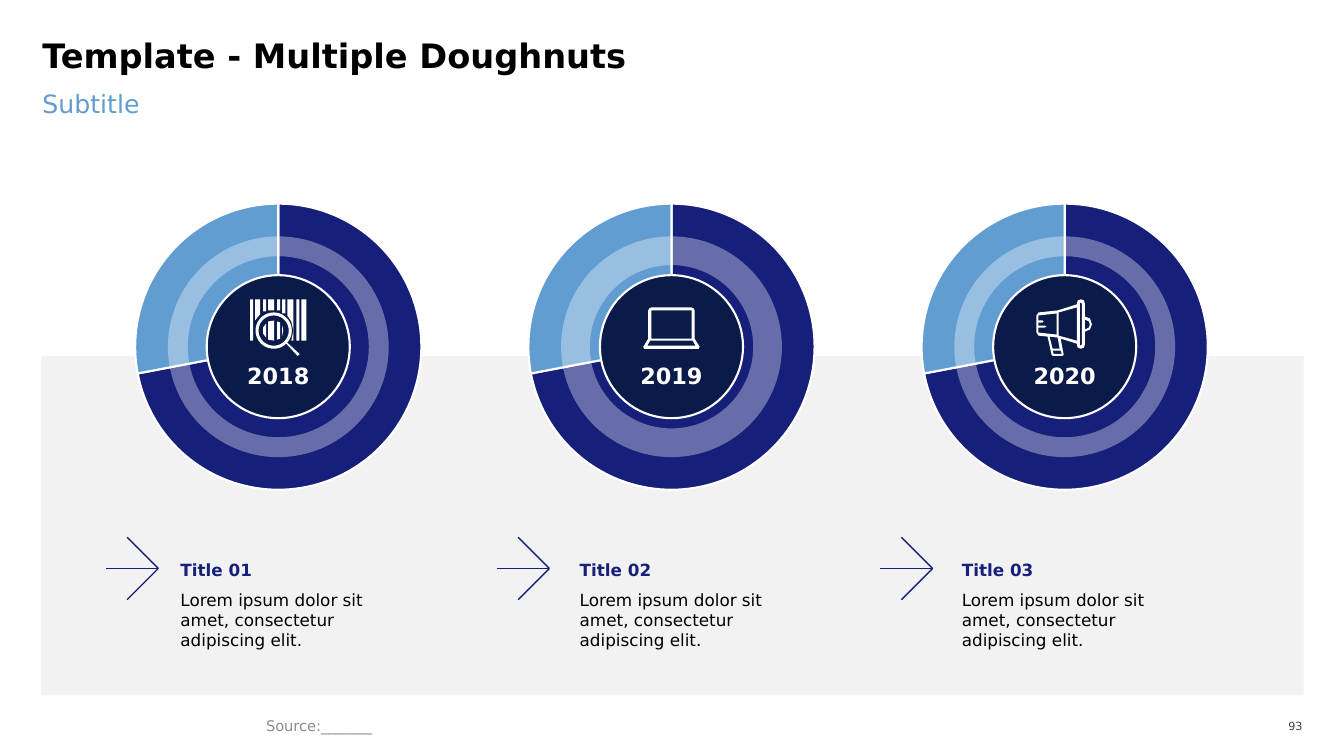
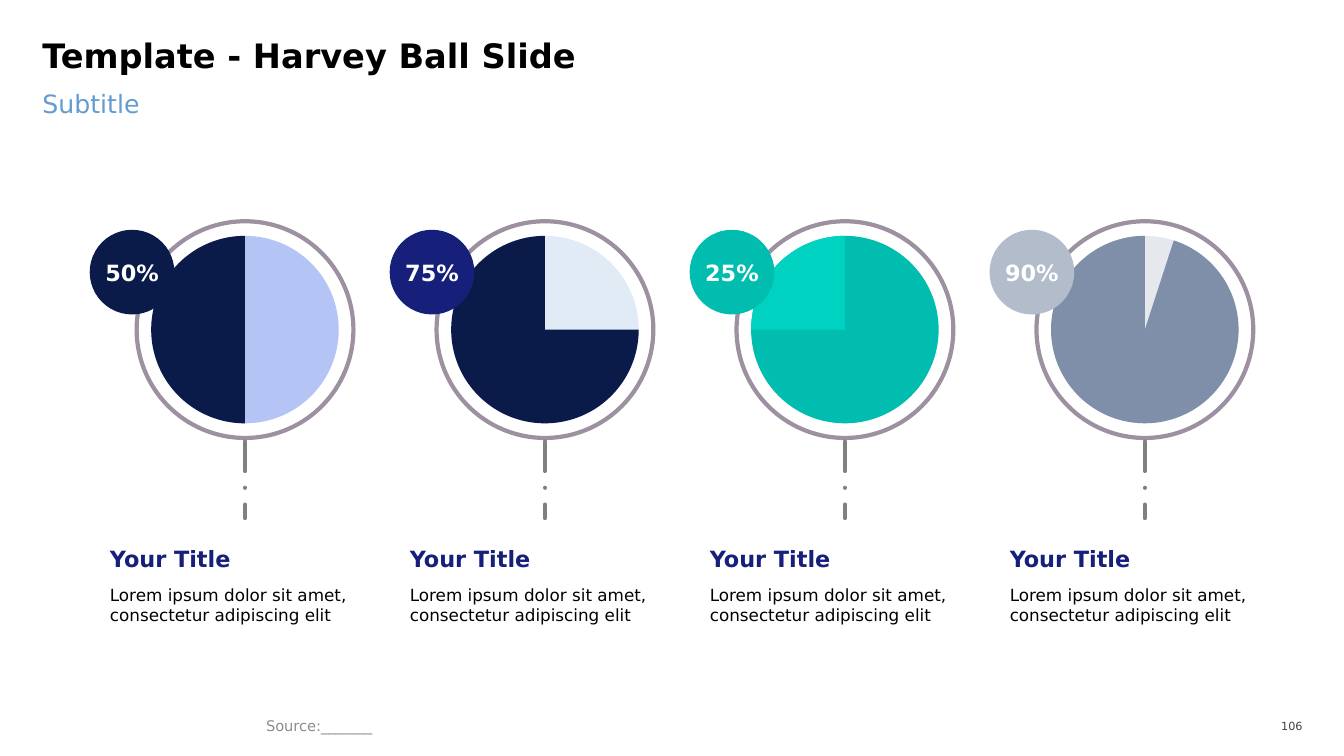
"""Build two template slides: multiple doughnuts and Harvey balls."""
from dataclasses import dataclass
from math import cos, pi, sin

from lxml.etree import SubElement
from pptx import Presentation
from pptx.chart.data import CategoryChartData
from pptx.dml.color import RGBColor
from pptx.enum.chart import XL_CHART_TYPE as ChartType
from pptx.enum.dml import MSO_LINE as Dash
from pptx.enum.shapes import MSO_CONNECTOR as Connector, MSO_SHAPE as Shape
from pptx.enum.text import MSO_ANCHOR as Anchor, MSO_AUTO_SIZE as AutoSize, PP_ALIGN as Align
from pptx.oxml.ns import qn
from pptx.util import Inches, Pt


@dataclass(frozen=True)
class Theme:
    """Colours, type sizes and slide measures shared by both slides."""
    font: str = "DejaVu Sans"
    black: str = "000000"
    white: str = "FFFFFF"
    navy: str = "0A1A49"
    blue: str = "16207B"
    sky: str = "629DD1"
    subtitle: str = "629CD0"
    panel: str = "F2F2F2"
    ring: str = "9D90A0"
    stem: str = "808080"
    source: str = "8C8C8C"
    number: str = "404040"
    title_size: float = 24
    subtitle_size: float = 18
    label_size: float = 16
    text_size: float = 12
    source_size: float = 10.5
    number_size: float = 8
    width: float = 13.33
    height: float = 7.5
    margin: float = 0.42


THEME = Theme()


def circle(x, y, radius, steps=48):
    """Return the points of a circle."""
    turns = [2 * pi * step / steps for step in range(steps)]
    return [(x + radius * cos(turn), y + radius * sin(turn)) for turn in turns]


def bar(left, right, bottom=41):
    """Return the corners of one barcode bar."""
    return [(left, 0), (right, 0), (right, bottom), (left, bottom)]


BARCODE = [
    bar(0, 3), [(5, 0), (10, 0), (10, 15), (5, 21)], bar(13, 16, 12), bar(18, 24, 11),
    bar(27, 30, 11), bar(32, 35, 14),
    [(37, 0), (43, 0), (43, 41), (41, 41), (43, 31), (41, 22), (37, 16)],
    bar(46, 49), bar(51, 56),
    circle(23.5, 31, 18), circle(23.5, 31, 15),
    [(37, 43), (49, 54), (49, 55), (47, 56), (36, 44)],
    [(16, 24), (16, 38), (13, 34), (13, 28)],
    [(18, 22), (24, 21), (24, 41), (18, 40)],
    [(27, 22), (30, 23), (30, 39), (27, 40)],
    [(32, 26), (33, 31), (32, 36)],
]
LAPTOP = [
    [(0, 39), (5, 31), (5, 3), (6, 1), (8, 0), (48, 0), (50, 1), (51, 3), (51, 31),
     (56, 39), (55, 41), (1, 41)],
    [(8, 3), (48, 3), (48, 31), (8, 31)],
    [(4, 38), (7, 33), (49, 33), (52, 38)],
]
MEGAPHONE = [
    [(48, 17), (48, 4), (47, 1), (44, 0), (41, 1), (40, 4), (40, 5), (21, 11), (2, 13),
     (0, 16), (0, 33), (2, 36), (11, 37), (15, 55), (16, 56), (26, 56), (27, 55), (24, 39),
     (40, 44), (40, 45), (41, 48), (44, 49), (47, 48), (48, 45), (48, 32), (53, 30),
     (55, 25), (53, 19)],
    [(48, 20), (52, 22), (53, 25), (52, 28), (48, 30)],
    [(43, 4), (44, 3), (45, 4), (45, 45), (44, 46), (43, 45)],
    [(40, 8), (40, 41), (22, 36), (22, 13)],
    [(16, 51), (24, 51), (25, 54), (17, 54)],
    [(13, 37), (21, 38), (23, 49), (16, 49)],
    [(2, 33), (2, 28), (8, 28), (10, 27), (8, 26), (2, 26), (2, 23), (6, 23), (7, 22),
     (6, 21), (2, 21), (2, 16), (20, 14), (20, 35)],
]


def rgb(colour):
    """Turn a hex string into a colour."""
    return RGBColor.from_string(colour)


def write(holder, text, size, colour, bold=False, align=Align.LEFT, anchor=Anchor.TOP,
          insets=(0, 0, 0, 0)):
    """Write one formatted paragraph into a shape and return it."""
    frame = holder.text_frame
    frame.word_wrap = True
    frame.auto_size = AutoSize.NONE
    frame.vertical_anchor = anchor
    (frame.margin_left, frame.margin_top,
     frame.margin_right, frame.margin_bottom) = map(Inches, insets)
    frame.text = text
    paragraph = frame.paragraphs[0]
    paragraph.alignment = align
    paragraph.space_before = Pt(0)
    font = paragraph.font
    font.name, font.size, font.bold = THEME.font, Pt(size), bold
    font.color.rgb = rgb(colour)
    return paragraph


def add_text(slide, box, text, size, colour, **style):
    """Add a text box."""
    return write(slide.shapes.add_textbox(*map(Inches, box)), text, size, colour, **style)


def paint(shape, fill=None, line=None, weight=1):
    """Set fill and outline, and drop the shadow."""
    shape.shadow.inherit = False
    if fill:
        shape.fill.solid()
        shape.fill.fore_color.rgb = rgb(fill)
    else:
        shape.fill.background()
    if line:
        shape.line.color.rgb = rgb(line)
        shape.line.width = Pt(weight)
    else:
        shape.line.fill.background()
    return shape


def add_round(slide, kind, centre, diameter, **look):
    """Add a round preset shape about a centre point."""
    left, top = (value - diameter / 2 for value in centre)
    shape = slide.shapes.add_shape(kind, *map(Inches, (left, top, diameter, diameter)))
    return paint(shape, **look)


def add_line(slide, start, end, colour, weight):
    """Add a straight line without a shadow."""
    line = slide.shapes.add_connector(Connector.STRAIGHT, *map(Inches, start + end))
    line.line.color.rgb = rgb(colour)
    line.line.width = Pt(weight)
    SubElement(line._element.spPr, qn("a:effectLst"))
    return line


def add_icon(slide, left, top, contours):
    """Draw an icon given in hundredths of an inch."""
    outlines = [[(Inches(left + x / 100), Inches(top + y / 100)) for x, y in contour]
                for contour in contours]
    builder = slide.shapes.build_freeform(*outlines[0][0])
    for number, outline in enumerate(outlines):
        if number:
            builder.move_to(*outline[0])
        builder.add_line_segments(outline[1:], close=True)
    paint(builder.convert_to_shape(), THEME.white)


def add_doughnut(slide, centre, size, values, colours):
    """Add a doughnut chart about a centre point."""
    data = CategoryChartData()
    data.categories = ["1", "2"]
    data.add_series("Series 1", values)
    box = (centre[0] - size / 2, centre[1] - size / 2, size, size)
    chart = slide.shapes.add_chart(ChartType.DOUGHNUT, *map(Inches, box), data).chart
    chart.has_legend = chart.has_title = False
    chart.font.name, chart.font.size = THEME.font, Pt(10)
    chart.font.color.rgb = rgb(THEME.black)
    plot = chart.plots[0]
    plot.vary_by_categories = True
    for index, colour in enumerate(colours):
        portion = plot.series[0].points[index].format
        portion.fill.solid()
        portion.fill.fore_color.rgb = rgb(colour)
        portion.line.color.rgb = rgb(THEME.white)
        portion.line.width = Pt(1.5)
    plot._element.getparent().find(qn("c:holeSize"))
    fill_frame(chart, 0.91)


def fill_frame(chart, share):
    """Centre the plot area on a share of the chart frame."""
    area = chart._chartSpace.chart.plotArea
    layout = area.find(qn("c:layout"))
    if layout is None:
        layout = SubElement(area, qn("c:layout"))
        area.insert(0, layout)
    manual = SubElement(layout, qn("c:manualLayout"))
    edge = round((1 - share) / 2, 3)
    for tag, value in (("layoutTarget", "inner"), ("xMode", "edge"), ("yMode", "edge"),
                       ("x", edge), ("y", edge), ("w", share), ("h", share)):
        SubElement(manual, qn(f"c:{tag}")).set("val", str(value))


def add_base(deck, title, number):
    """Add a slide with title, subtitle, source and slide number."""
    slide = deck.slides.add_slide(deck.slide_layouts[1])
    width = THEME.width - 2 * THEME.margin
    heading, subtitle = slide.placeholders
    for holder, top, height in ((heading, 0.42, 0.53), (subtitle, 0.88, 0.63)):
        holder.left, holder.top, holder.width, holder.height = map(
            Inches, (THEME.margin, top, width, height))
    write(heading, title, THEME.title_size, THEME.black, bold=True).line_spacing = 0.8
    properties = write(subtitle, "Subtitle", THEME.subtitle_size,
                       THEME.subtitle)._p.get_or_add_pPr()
    properties.set("marL", "0")
    properties.set("indent", "0")
    properties.insert_element_before(
        properties.makeelement(qn("a:buNone"), {}), "a:tabLst", "a:defRPr", "a:extLst")
    add_text(slide, (2.54, 7.07, 6.39, 0.26), "Source:_______", THEME.source_size,
             THEME.source, anchor=Anchor.MIDDLE, insets=(0.1, 0.05, 0.1, 0.05))
    add_text(slide, (12.5, 7.09, 0.42, 0.23), number, THEME.number_size, THEME.number,
             align=Align.RIGHT, anchor=Anchor.MIDDLE)
    return slide


def add_arrow(slide, left, middle):
    """Add an open arrow made of three lines."""
    tip = (left + 0.52, middle)
    for start in ((left, middle), (left + 0.21, middle - 0.31), (left + 0.21, middle + 0.31)):
        add_line(slide, start, tip, THEME.blue, 1)


def add_caption(slide, left, top, title, text, title_size, gap, width, anchor=Anchor.TOP):
    """Add a bold title with a text under it."""
    insets = (0, 0.05, 0, 0.05)
    add_text(slide, (left, top, width, gap), title, title_size, THEME.blue, bold=True,
             anchor=anchor, insets=insets)
    add_text(slide, (left, top + gap, width, 0.91), text, THEME.text_size, THEME.black,
             insets=insets)


def add_year(slide, centre, year, band, icon, icon_at):
    """Add a doughnut with its inner disc, band, icon and year."""
    add_round(slide, Shape.OVAL, centre, 2.03, fill=THEME.navy)
    add_doughnut(slide, centre, 3.12, (72, 28), (THEME.blue, THEME.sky))
    halo = add_round(slide, Shape.DONUT, centre, 2.19, fill=THEME.white)
    halo.adjustments[0] = band
    tint = halo._element.spPr.find(qn("a:solidFill"))[0]
    SubElement(tint, qn("a:alpha")).set("val", "35000")
    add_icon(slide, centre[0] + icon_at[0], centre[1] + icon_at[1], icon)
    add_text(slide, (centre[0] - 0.42, 3.54, 0.84, 0.37), year, THEME.label_size, THEME.white,
             bold=True, align=Align.CENTER, anchor=Anchor.MIDDLE)


def add_harvey_ball(slide, centre, label, start, end, back, front, badge):
    """Add a ringed pie with its badge and stem; angles are in degrees."""
    x, y = centre
    add_round(slide, Shape.OVAL, centre, 2.15, line=THEME.ring, weight=3)
    add_round(slide, Shape.OVAL, centre, 1.86, fill=back)
    pie = add_round(slide, Shape.PIE, centre, 1.86, fill=front)
    for index, angle in enumerate((start, end)):
        pie.adjustments[index] = angle * 0.6
    disc = add_round(slide, Shape.OVAL, (x - 1.12, y - 0.57), 0.84, fill=badge)
    write(disc, label, THEME.label_size, THEME.white, bold=True, align=Align.CENTER,
          anchor=Anchor.MIDDLE)
    disc.text_frame.word_wrap = False
    stem = add_line(slide, (x, 4.38), (x, 5.14), THEME.stem, 3)
    stem.line.dash_style = Dash.LONG_DASH_DOT
    stem.line._ln.set("cap", "rnd")


def add_doughnut_slide(deck):
    """Build the slide of three doughnuts."""
    slide = add_base(deck, "Template - Multiple Doughnuts", "93")
    panel = slide.shapes.add_shape(Shape.RECTANGLE, *map(Inches, (0.41, 3.53, 12.52, 3.37)))
    paint(panel, THEME.panel)
    years = (("2018", 0.09, BARCODE, (-0.28, -0.47), 1.05, 1.79),
             ("2019", 0.13, LAPTOP, (-0.28, -0.39), 4.93, 5.75),
             ("2020", 0.09, MEGAPHONE, (-0.28, -0.47), 8.73, 9.54))
    for column, (year, band, icon, icon_at, arrow_left, text_left) in enumerate(years):
        add_year(slide, (2.76 + 3.9 * column, 3.44), year, band, icon, icon_at)
        add_arrow(slide, arrow_left, 5.64)
        add_caption(slide, text_left, 5.5, f"Title {column + 1:02}",
                    "Lorem ipsum dolor sit amet, consectetur adipiscing elit.",
                    THEME.text_size, 0.3, 1.96, Anchor.BOTTOM)


def add_harvey_slide(deck):
    """Build the slide of four Harvey balls."""
    slide = add_base(deck, "Template - Harvey Ball Slide", "106")
    balls = (("50%", 90, 270, "B4C4F5", THEME.navy, THEME.navy),
             ("75%", 0, 270, "E0EBF6", THEME.navy, THEME.blue),
             ("25%", 180, 270, "00BDAF", "00D2C2", "00BDAF"),
             ("90%", 288, 270, "E5E9EE", "7F8FA9", "B2BCCB"))
    for column, ball in enumerate(balls):
        x = 2.43 + 2.975 * column
        add_harvey_ball(slide, (x, 3.27), *ball)
        add_caption(slide, x - 1.34, 5.36, "Your Title",
                    "Lorem ipsum dolor sit amet, consectetur adipiscing elit",
                    THEME.label_size, 0.39, 2.65)


def main():
    """Build and save the deck."""
    deck = Presentation()
    deck.slide_width, deck.slide_height = Inches(THEME.width), Inches(THEME.height)
    add_doughnut_slide(deck)
    add_harvey_slide(deck)
    deck.save("out.pptx")


if __name__ == "__main__":
    main()
